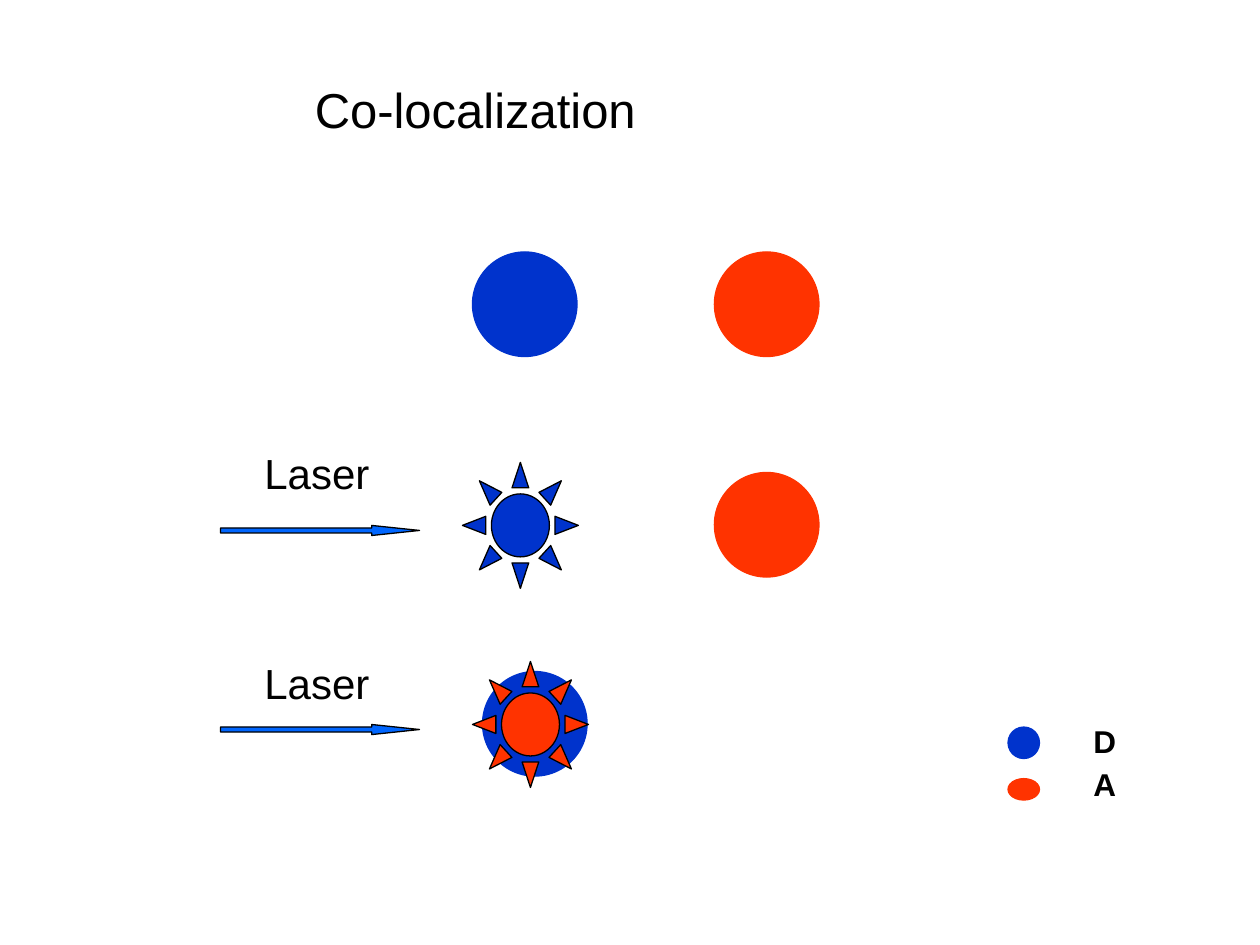
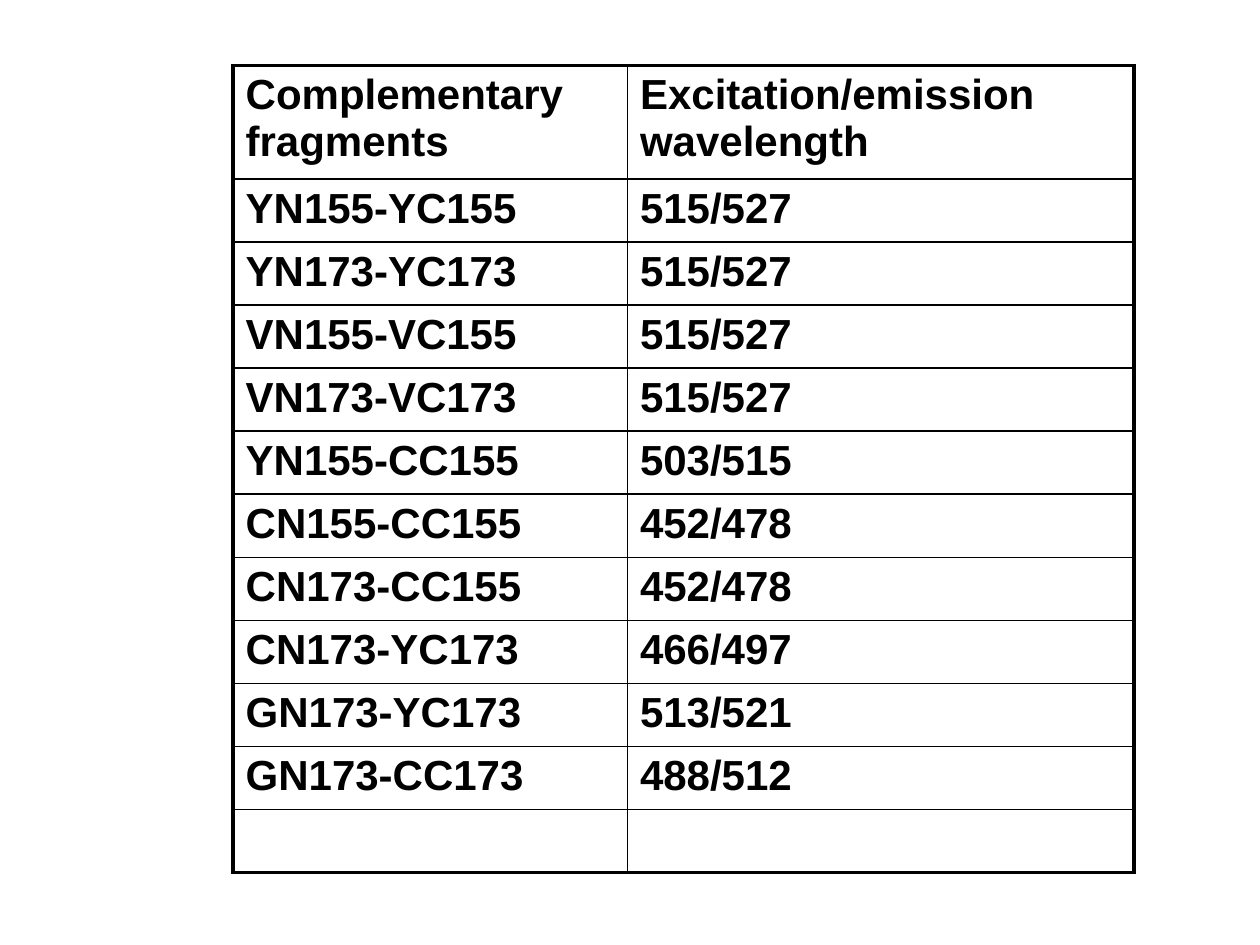
"""Build two slides: a co-localization diagram and a table of fragment wavelengths."""
from lxml import etree
from pptx import Presentation
from pptx.dml.color import RGBColor
from pptx.enum.shapes import MSO_SHAPE
from pptx.oxml.ns import qn
from pptx.util import Inches, Pt

CIRCLE, SUN, ARROW = MSO_SHAPE.OVAL, MSO_SHAPE.SUN, MSO_SHAPE.RIGHT_ARROW
COLORS = {"donor": "0033CC", "acceptor": "FF3300", "laser": "0066FF", "ink": "000000"}
FONT = "Arial"
THIN, THICK = 1, 2.25


def write(frame, text, size=24, bold=False):
    frame.word_wrap = True
    paragraph = frame.paragraphs[0]
    paragraph.text = text
    paragraph.font.name = FONT
    paragraph.font.size = Pt(size)
    paragraph.font.bold = bold
    paragraph.font.color.rgb = RGBColor.from_string(COLORS["ink"])


def draw(slide, kind, box, fill, line, adjustments=()):
    shape = slide.shapes.add_shape(kind, *map(Inches, box))
    shape.shadow.inherit = False
    shape.fill.solid()
    shape.fill.fore_color.rgb = RGBColor.from_string(COLORS[fill])
    shape.line.color.rgb = RGBColor.from_string(COLORS[line])
    shape.line.width = Pt(0.75)
    for index, value in enumerate(adjustments):
        shape.adjustments[index] = value


prs = Presentation()
prs.slide_width, prs.slide_height = Inches(10), Inches(7.5)
blank = prs.slide_layouts[6]

diagram = prs.slides.add_slide(blank)
molecules = [
    (3.75, 2, "donor"),
    (5.67, 2, "acceptor"),
    (5.67, 3.75, "acceptor"),
    (3.83, 5.33, "donor"),
]
for left, top, role in molecules:
    draw(diagram, CIRCLE, (left, top, 0.83, 0.83), role, role)

excitations = [
    (3.5, 4.17, 3.67, 3.67, "donor"),
    (5.17, 5.75, 3.75, 5.25, "acceptor"),
]
labels = [("Co-localization", (2.4, 0.58, 7.43, 0.57), 28, False)]
for label_top, beam_top, glow_left, glow_top, role in excitations:
    draw(diagram, ARROW, (1.75, beam_top, 1.58, 0.08), "laser", "ink", (0.5, 4.75))
    draw(diagram, SUN, (glow_left, glow_top, 0.92, 1), role, "ink", (0.25,))
    labels.append(("Laser", (2, label_top, 1.25, 0.5), 24, False))

legend = [
    ("D", 5.68, 5.77, 0.25, "donor"),
    ("A", 6.02, 6.18, 0.17, "acceptor"),
]
for letter, letter_top, key_top, key_height, role in legend:
    draw(diagram, CIRCLE, (8, key_top, 0.25, key_height), role, role)
    labels.append((letter, (8.58, letter_top, 0.58, 0.4), 18, True))

for text, box, size, bold in labels:
    write(diagram.shapes.add_textbox(*map(Inches, box)).text_frame, text, size=size, bold=bold)

wavelengths = [
    ("Complementary fragments", "Excitation/emission wavelength"),
    ("YN155-YC155", "515/527"),
    ("YN173-YC173", "515/527"),
    ("VN155-VC155", "515/527"),
    ("VN173-VC173", "515/527"),
    ("YN155-CC155", "503/515"),
    ("CN155-CC155", "452/478"),
    ("CN173-CC155", "452/478"),
    ("CN173-YC173", "466/497"),
    ("GN173-YC173", "513/521"),
    ("GN173-CC173", "488/512"),
    ("", ""),
]
last_row, last_column = len(wavelengths) - 1, 1

table_slide = prs.slides.add_slide(blank)
table = table_slide.shapes.add_table(
    len(wavelengths), 2, Inches(1.85), Inches(0.52), Inches(7.15), Inches(6.4)
).table
table.first_row = table.horz_banding = False
for column, width in zip(table.columns, (3.13, 4.02)):
    column.width = Inches(width)

for r, entries in enumerate(wavelengths):
    table.rows[r].height = Inches(0.9 if r == 0 else 0.5)
    for c, entry in enumerate(entries):
        cell = table.cell(r, c)
        write(cell.text_frame, entry, bold=True)
        outer_edges = {"L": c == 0, "R": c == last_column, "T": r == 0, "B": r == last_row}
        properties = cell._tc.get_or_add_tcPr()
        for side, outer in outer_edges.items():
            border = etree.SubElement(properties, qn(f"a:ln{side}"), w=str(Pt(THICK if outer else THIN)))
            paint = etree.SubElement(border, qn("a:solidFill"))
            etree.SubElement(paint, qn("a:srgbClr"), val=COLORS["ink"])
        cell.fill.background()

prs.save("out.pptx")
